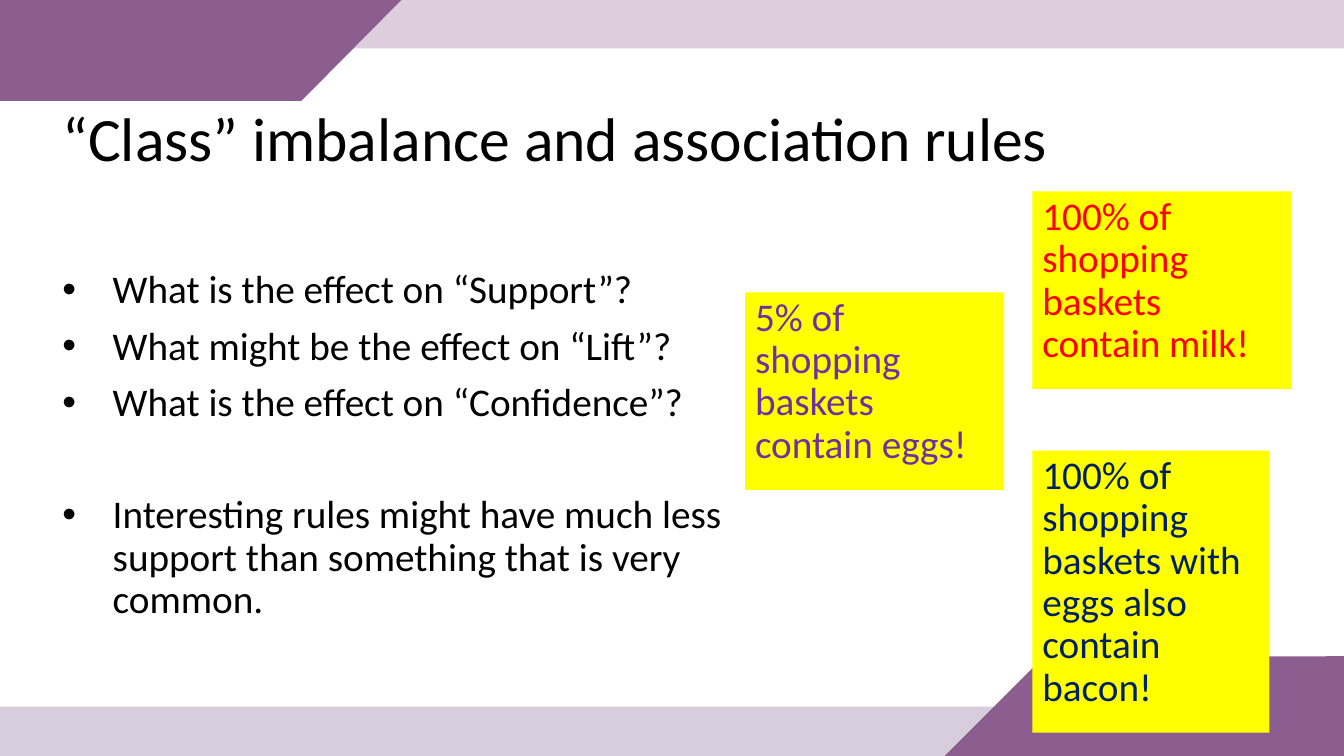
from lxml import etree
from pptx import Presentation
from pptx.dml.color import RGBColor
from pptx.enum.shapes import MSO_SHAPE
from pptx.enum.text import MSO_ANCHOR, PP_ALIGN
from pptx.oxml.ns import qn
from pptx.util import Inches, Pt

RECTANGLE = MSO_SHAPE.RECTANGLE
TOP = MSO_ANCHOR.TOP
LEFT = PP_ALIGN.LEFT

BLACK = RGBColor(0x00, 0x00, 0x00)
PURPLE = RGBColor(0x8C, 0x5D, 0x8F)
VIOLET = RGBColor(0x7C, 0x5A, 0x8E)
YELLOW = RGBColor(0xFF, 0xFF, 0x00)
RED = RGBColor(0xFF, 0x00, 0x00)
NAVY = RGBColor(0x00, 0x20, 0x60)
EGG_PURPLE = RGBColor(0x70, 0x30, 0xA0)

QUESTIONS = [
    "What is the effect on “Support”?",
    "What might be the effect on “Lift”?",
    "What is the effect on “Confidence”?",
]
CONCLUSION = ("Interesting rules might have much less support "
              "than something that is very common.")
NOTES = [
    ("100% of shopping baskets contain milk!", RED, (10.24, 1.9, 2.57, 1.96)),
    ("100% of shopping baskets with eggs also contain bacon!", NAVY,
     (10.24, 4.47, 2.35, 2.8)),
    ("5% of shopping baskets contain eggs!", EGG_PURPLE,
     (7.39, 2.9, 2.57, 1.96)),
]


def write(paragraph, text, size=28, color=BLACK, before=10, bullet=False):
    paragraph.alignment = LEFT
    paragraph.line_spacing = 0.9
    paragraph.space_before = Pt(before)
    run = paragraph.add_run()
    run.text = text
    run.font.name = "Calibri"
    run.font.size = Pt(size)
    run.font.color.rgb = color
    if bullet:
        properties = paragraph._p.get_or_add_pPr()
        properties.set("marL", str(Inches(0.5)))
        properties.set("indent", str(-Inches(0.5)))
        etree.SubElement(properties, qn("a:buFont")).set("typeface", "Arial")
        etree.SubElement(properties, qn("a:buChar")).set("char", "•")


class SlideBuilder:
    def __init__(self, slide):
        self.slide = slide

    def paint(self, shape, color):
        shape.shadow.inherit = False
        shape.fill.solid()
        shape.fill.fore_color.rgb = color
        shape.line.fill.background()
        return shape

    def rectangle(self, box, color):
        shape = self.slide.shapes.add_shape(RECTANGLE, *map(Inches, box))
        return self.paint(shape, color)

    def band(self, box, color):
        """Add a strip in a colour of 30% opacity."""
        shape = self.rectangle(box, color)
        tint = shape.fill._xPr.find(".//" + qn("a:srgbClr"))
        etree.SubElement(tint, qn("a:alpha")).set("val", "30000")

    def corner(self, points):
        start, *others = [(Inches(x), Inches(y)) for x, y in points]
        builder = self.slide.shapes.build_freeform(*start)
        builder.add_line_segments(others, close=True)
        self.paint(builder.convert_to_shape(), PURPLE)

    def text_box(self, box):
        frame = self.slide.shapes.add_textbox(*map(Inches, box)).text_frame
        frame.word_wrap = True
        return frame

    def title(self, text, box):
        write(self.text_box(box).paragraphs[0], text, size=44, before=0)

    def bullets(self, items, box):
        """Add a bullet list from pairs of text and space before."""
        frame = self.text_box(box)
        for index, (text, before) in enumerate(items):
            paragraph = frame.add_paragraph() if index else frame.paragraphs[0]
            write(paragraph, text, before=before, bullet=True)

    def note(self, text, color, box):
        frame = self.rectangle(box, YELLOW).text_frame
        frame.word_wrap = True
        frame.vertical_anchor = TOP
        write(frame.paragraphs[0], text, color=color)


def main():
    presentation = Presentation()
    presentation.slide_width = Inches(13.33)
    presentation.slide_height = Inches(7.5)
    blank = presentation.slide_layouts[6]
    builder = SlideBuilder(presentation.slides.add_slide(blank))

    builder.band((1.27, 0, 12.07, 0.48), PURPLE)
    builder.corner([(0, -0.01), (3.99, -0.01), (2.99, 1), (0, 1)])
    builder.band((0, 7.01, 10.83, 0.51), VIOLET)
    builder.corner([(13.33, 7.52), (9.36, 7.51), (10.35, 6.52), (13.33, 6.51)])

    builder.title("“Class” imbalance and association rules",
                  (0.52, 1.03, 12.07, 1.45))
    items = [(question, 10) for question in QUESTIONS] + [(CONCLUSION, 50)]
    builder.bullets(items, (0.52, 2.63, 7.2, 1.96))
    for text, color, box in NOTES:
        builder.note(text, color, box)

    presentation.save("out.pptx")


if __name__ == "__main__":
    main()
